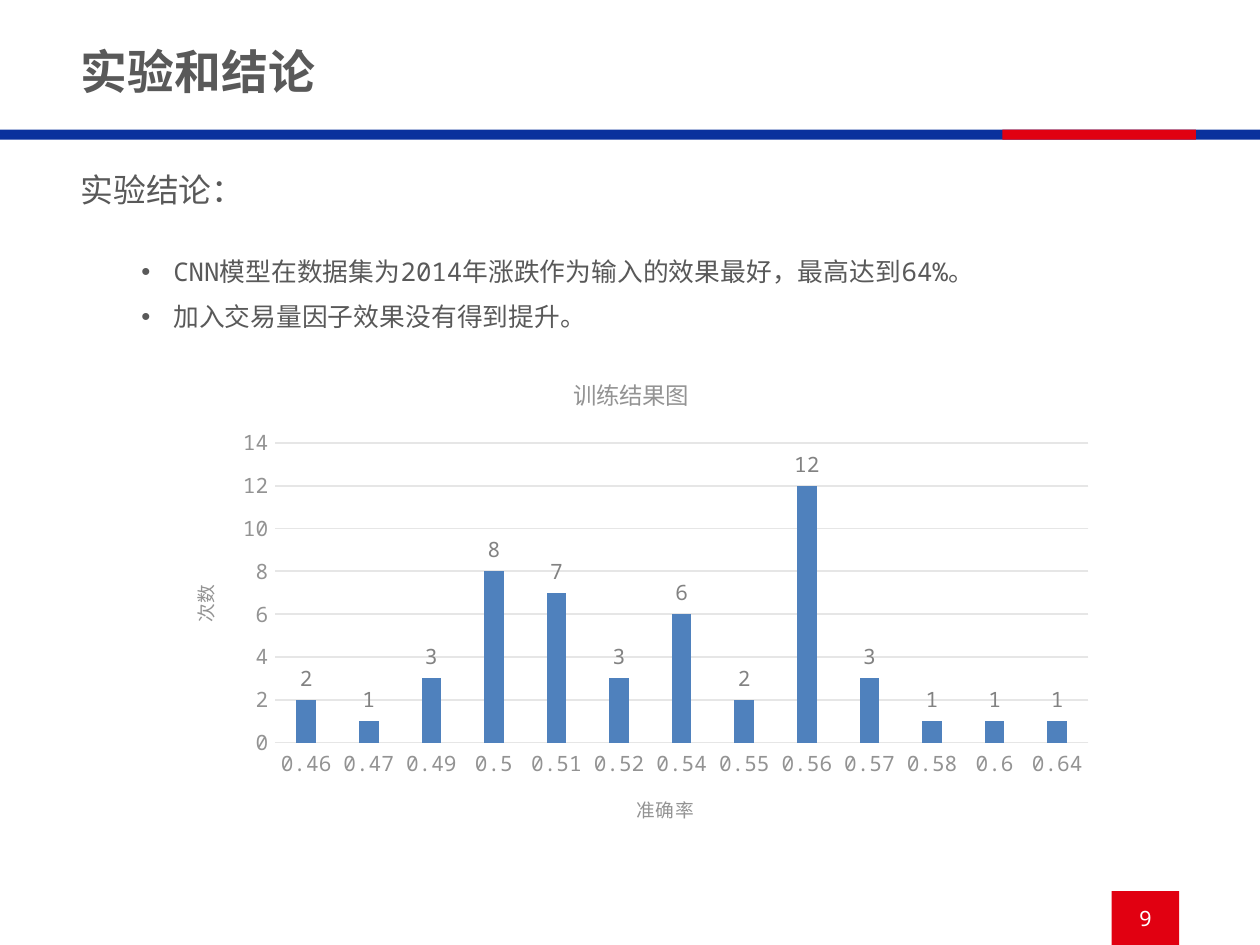
"""Build the experiment conclusions slide with its training result chart."""
from lxml.etree import SubElement
from pptx import Presentation
from pptx.chart.data import CategoryChartData
from pptx.dml.color import RGBColor as RGB
from pptx.enum.chart import XL_CHART_TYPE as CT, XL_LABEL_POSITION as LP, XL_TICK_MARK as TM
from pptx.enum.shapes import MSO_SHAPE as SHAPE
from pptx.enum.text import MSO_ANCHOR as ANCHOR, PP_ALIGN as ALIGN
from pptx.oxml import parse_xml
from pptx.oxml.ns import nsdecls, qn
from pptx.util import Inches, Pt

TITLE = "实验和结论"
HEADING = "实验结论："
BULLETS = [
    "CNN模型在数据集为2014年涨跌作为输入的效果最好，最高达到64%。",
    "加入交易量因子效果没有得到提升。",
]
PAGE = "9"
CHART_TITLE, X_TITLE, Y_TITLE = "训练结果图", "准确率", "次数"
RESULTS = {
    "0.46": 2, "0.47": 1, "0.49": 3, "0.5": 8, "0.51": 7, "0.52": 3, "0.54": 6,
    "0.55": 2, "0.56": 12, "0.57": 3, "0.58": 1, "0.6": 1, "0.64": 1,
}
THEME = {
    "blue": "0A319D", "red": "E10011", "white": "FFFFFF", "text": "595959",
    "axis": "939393", "label": "828282", "grid": "E6E6E6", "bar": "4F81BD",
    "sans": "Arial", "mono": "Noto Sans Mono", "cjk": "Noto Sans CJK SC",
    "title": 20, "heading": 14, "body": 11, "chart": 10, "small": 9, "tiny": 8,
}
WIDTH, HEIGHT = 7.48, 5.61
BAND = (0.77, 0.06)
BADGE = (6.6, 5.29, 0.4, 0.32)
CHART = (0.92, 2.09, 5.65, 3)
PLOT = (1.63, 2.63, 4.83, 1.78)


def color(name):
    return RGB.from_string(THEME[name])


def style(font, size, tone, face="mono", bold=False):
    font.size, font.bold, font.name = Pt(THEME[size]), bold, THEME[face]
    font.color.rgb = color(tone)


def write(tf, text, size="body", tone="text", face="mono", bold=False,
          align=None, anchor=None, spacing=None, before=None, bullet=False):
    """Fill a text frame, one paragraph per line of text."""
    if anchor is not None:
        tf.word_wrap, tf.vertical_anchor = True, anchor
    for i, line in enumerate(text.split("\n")):
        p = tf.add_paragraph() if i else tf.paragraphs[0]
        if align is not None:
            p.alignment = align
        if spacing:
            p.line_spacing = spacing
        if before:
            p.space_before = Pt(before)
        r = p.add_run()
        r.text = line
        style(r.font, size, tone, face, bold)
        SubElement(r.font._element, qn("a:ea")).set("typeface", THEME["cjk"])
        if bullet:
            pPr = p._p.get_or_add_pPr()
            pPr.set("marL", str(Inches(0.19)))
            pPr.set("indent", str(-Inches(0.19)))
            SubElement(pPr, qn("a:buFont")).set("typeface", THEME["sans"])
            SubElement(pPr, qn("a:buChar")).set("char", "•")


def add_rect(s, box, fill):
    sp = s.shapes.add_shape(SHAPE.RECTANGLE, *map(Inches, box))
    sp.shadow.inherit = False
    sp.fill.solid()
    sp.fill.fore_color.rgb = color(fill)
    sp.line.fill.background()
    return sp


def add_text(s, box, text, anchor=ANCHOR.TOP, **fmt):
    sp = s.shapes.add_textbox(*map(Inches, box))
    write(sp.text_frame, text, anchor=anchor, **fmt)


def style_axis(axis, title):
    axis.has_title = True
    write(axis.axis_title.text_frame, title, size="tiny", tone="axis")
    axis.major_tick_mark = axis.minor_tick_mark = TM.NONE
    style(axis.tick_labels.font, "small", "axis")


def style_line(line):
    line.color.rgb, line.width = color("grid"), Pt(0.75)


def place_plot(chart):
    area = chart.element.xpath(".//c:plotArea")[0]
    for old in area.xpath("./c:layout"):
        area.remove(old)
    (x, y, w, h), (cx, cy, cw, ch) = PLOT, CHART
    parts = {"x": (x - cx) / cw, "y": (y - cy) / ch, "w": w / cw, "h": h / ch}
    values = "".join(f'<c:{k} val="{v:.3f}"/>' for k, v in parts.items())
    area.insert(0, parse_xml(
        f'<c:layout {nsdecls("c")}><c:manualLayout><c:layoutTarget val="inner"/>'
        f'<c:xMode val="edge"/><c:yMode val="edge"/>{values}</c:manualLayout></c:layout>'))


def add_results(s):
    data = CategoryChartData()
    data.categories = list(RESULTS)
    data.add_series(Y_TITLE, list(RESULTS.values()))
    chart = s.shapes.add_chart(CT.COLUMN_CLUSTERED, *map(Inches, CHART), data).chart
    style(chart.font, "chart", "text")
    chart.has_legend = False
    chart.has_title = True
    write(chart.chart_title.text_frame, CHART_TITLE, size="chart", tone="axis")
    x, y = chart.category_axis, chart.value_axis
    style_axis(x, X_TITLE)
    style_axis(y, Y_TITLE)
    chart.element.xpath(".//c:valAx/c:title//a:bodyPr")[0].set("rot", "-5400000")
    style_line(x.format.line)
    y.format.line.fill.background()
    y.minimum_scale, y.maximum_scale, y.major_unit = 0, 14, 2
    style_line(y.major_gridlines.format.line)
    plot = chart.plots[0]
    plot.gap_width, plot.overlap, plot.vary_by_categories = 219, -27, False
    fill = plot.series[0].format.fill
    fill.solid()
    fill.fore_color.rgb = color("bar")
    plot.has_data_labels = True
    labels = plot.data_labels
    labels.show_value, labels.position = True, LP.OUTSIDE_END
    style(labels.font, "small", "label")
    place_plot(chart)


def main():
    prs = Presentation()
    prs.slide_width, prs.slide_height = Inches(WIDTH), Inches(HEIGHT)
    s = prs.slides.add_slide(prs.slide_layouts[6])
    top, thick = BAND
    add_rect(s, (0, top, WIDTH, thick), "blue")
    add_rect(s, (5.95, top, 1.15, thick), "red")
    badge = add_rect(s, BADGE, "red")
    write(badge.text_frame, PAGE, size="small", tone="white",
          align=ALIGN.CENTER, anchor=ANCHOR.MIDDLE)
    add_text(s, (0.38, 0.24, 4.41, 0.4), TITLE, size="title", face="sans",
             bold=True, anchor=ANCHOR.MIDDLE, spacing=0.9)
    add_text(s, (0.38, 0.96, 4.3, 0.34), HEADING, size="heading", face="cjk")
    add_text(s, (0.74, 1.49, 6.01, 0.6), "\n".join(BULLETS),
             spacing=0.9, before=7.5, bullet=True)
    add_results(s)
    prs.save("out.pptx")


if __name__ == "__main__":
    main()
